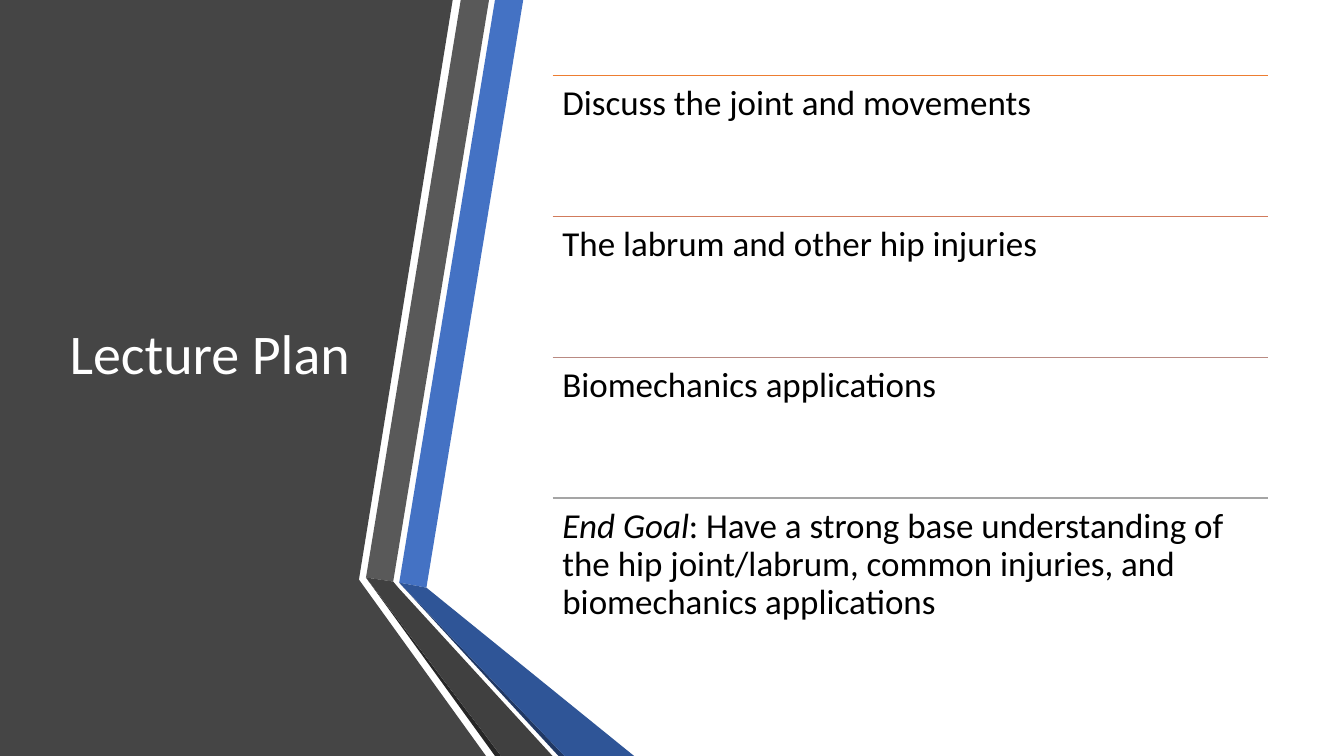
import pptx
import pptx.dml.color
import pptx.enum.shapes
import pptx.enum.text
import pptx.oxml.ns
import pptx.util
from dataclasses import dataclass
from lxml import etree

# Content: each topic is a list of (text, italic) runs
HEADING = "Lecture Plan"
TOPICS = [
    [("Discuss the joint and movements", False)],
    [("The labrum and other hip injuries", False)],
    [("Biomechanics applications", False)],
    [("End Goal", True),
     (": Have a strong base understanding of the hip joint/labrum, "
      "common injuries, and biomechanics applications", False)],
]


@dataclass(frozen=True)
class Theme:
    font: str = "Calibri"
    heading_size: int = 40
    topic_size: int = 25
    rule_width: int = 1
    line_spacing: float = 0.9
    heading: str = "FFFFFF"
    topic: str = "000000"
    panel: str = "454545"
    blue: str = "4472C4"
    blue_fold: str = "2F5597"
    blue_edge: str = "203864"
    grey: str = "595959"
    grey_fold: str = "404040"
    grey_edge: str = "262626"
    rules: tuple = ("ED7D31", "D17B5C", "B98A82", "A5A5A5")


THEME = Theme()

# Slide frame and topic rows, in inches
WIDTH, HEIGHT = 13.33, 7.5
MARGIN_Y = HEIGHT / 10
ROW_LEFT, ROW_WIDTH = 5.48, 7.1
ROW_HEIGHT = 5.59 / len(TOPICS)
HEADING_LEFT, HEADING_WIDTH = 0.59, 3.04

# Corners where the two ribbons fold, then the outlines from back to front
GREY_LEFT, GREY_RIGHT = (3.63, 5.73), (3.9, 5.77)
BLUE_LEFT, BLUE_RIGHT = (3.96, 5.78), (4.23, 5.83)
RIBBONS = [
    (THEME.panel, [(0, 0), (4.49, 0), (3.56, 5.75), (4.82, HEIGHT), (0, HEIGHT)]),
    (THEME.blue, [BLUE_LEFT, BLUE_RIGHT, (5.19, 0), (4.91, 0)]),
    (THEME.grey, [GREY_LEFT, GREY_RIGHT, (4.85, 0), (4.57, 0)]),
    (THEME.grey_edge, [GREY_LEFT, (4.91, HEIGHT), (4.97, HEIGHT)]),
    (THEME.blue_edge, [BLUE_LEFT, (5.54, HEIGHT), (5.6, HEIGHT)]),
    (THEME.blue_fold, [BLUE_LEFT, (5.6, HEIGHT), (6.29, HEIGHT), BLUE_RIGHT]),
    (THEME.grey_fold, [GREY_LEFT, (4.97, HEIGHT), (5.48, HEIGHT), (3.95, 5.83), GREY_RIGHT]),
]

inches = pptx.util.Inches


def rgb(value):
    return pptx.dml.color.RGBColor.from_string(value)


def add_ribbon(slide, color, corners):
    points = [(inches(x), inches(y)) for x, y in corners]
    builder = slide.shapes.build_freeform(*points[0])
    builder.add_line_segments(points[1:], close=True)
    ribbon = builder.convert_to_shape()
    ribbon.shadow.inherit = False
    ribbon.fill.solid()
    ribbon.fill.fore_color.rgb = rgb(color)
    ribbon.line.fill.background()


def write_runs(frame, runs, size, color, anchor):
    frame.word_wrap = True
    frame.auto_size = pptx.enum.text.MSO_AUTO_SIZE.NONE
    frame.vertical_anchor = anchor
    paragraph = frame.paragraphs[0]
    paragraph.alignment = pptx.enum.text.PP_ALIGN.LEFT
    paragraph.line_spacing = THEME.line_spacing
    for text, italic in runs:
        run = paragraph.add_run()
        run.text = text
        run.font.name = THEME.font
        run.font.size = pptx.util.Pt(size)
        run.font.italic = italic
        run.font.color.rgb = rgb(color)


def add_topic(slide, row, runs):
    top = MARGIN_Y + row * ROW_HEIGHT
    rule = slide.shapes.add_connector(
        pptx.enum.shapes.MSO_CONNECTOR.STRAIGHT,
        inches(ROW_LEFT), inches(top), inches(ROW_LEFT + ROW_WIDTH), inches(top))
    rule.line.color.rgb = rgb(THEME.rules[row])
    rule.line.width = pptx.util.Pt(THEME.rule_width)
    etree.SubElement(rule._element.spPr, pptx.oxml.ns.qn("a:effectLst"))

    frame = slide.shapes.add_textbox(
        inches(ROW_LEFT), inches(top), inches(ROW_WIDTH), inches(ROW_HEIGHT)).text_frame
    frame.margin_left = frame.margin_right = inches(0.1)
    frame.margin_top = frame.margin_bottom = inches(0.1)
    write_runs(frame, runs, THEME.topic_size, THEME.topic, pptx.enum.text.MSO_ANCHOR.TOP)


def main():
    deck = pptx.Presentation()
    deck.slide_width, deck.slide_height = inches(WIDTH), inches(HEIGHT)
    slide = deck.slides.add_slide(deck.slide_layouts.get_by_name("Title Only"))

    # Folded ribbons beside the dark panel
    for color, corners in RIBBONS:
        add_ribbon(slide, color, corners)

    # Heading, raised in front of the panel
    heading = slide.shapes.title
    heading.left, heading.top = inches(HEADING_LEFT), inches(MARGIN_Y)
    heading.width, heading.height = inches(HEADING_WIDTH), inches(5.58)
    write_runs(heading.text_frame, [(HEADING, False)], THEME.heading_size,
               THEME.heading, pptx.enum.text.MSO_ANCHOR.MIDDLE)
    slide.shapes._spTree.append(heading._element)

    # Ruled list of topics
    for row, runs in enumerate(TOPICS):
        add_topic(slide, row, runs)

    deck.save("out.pptx")


if __name__ == "__main__":
    main()
